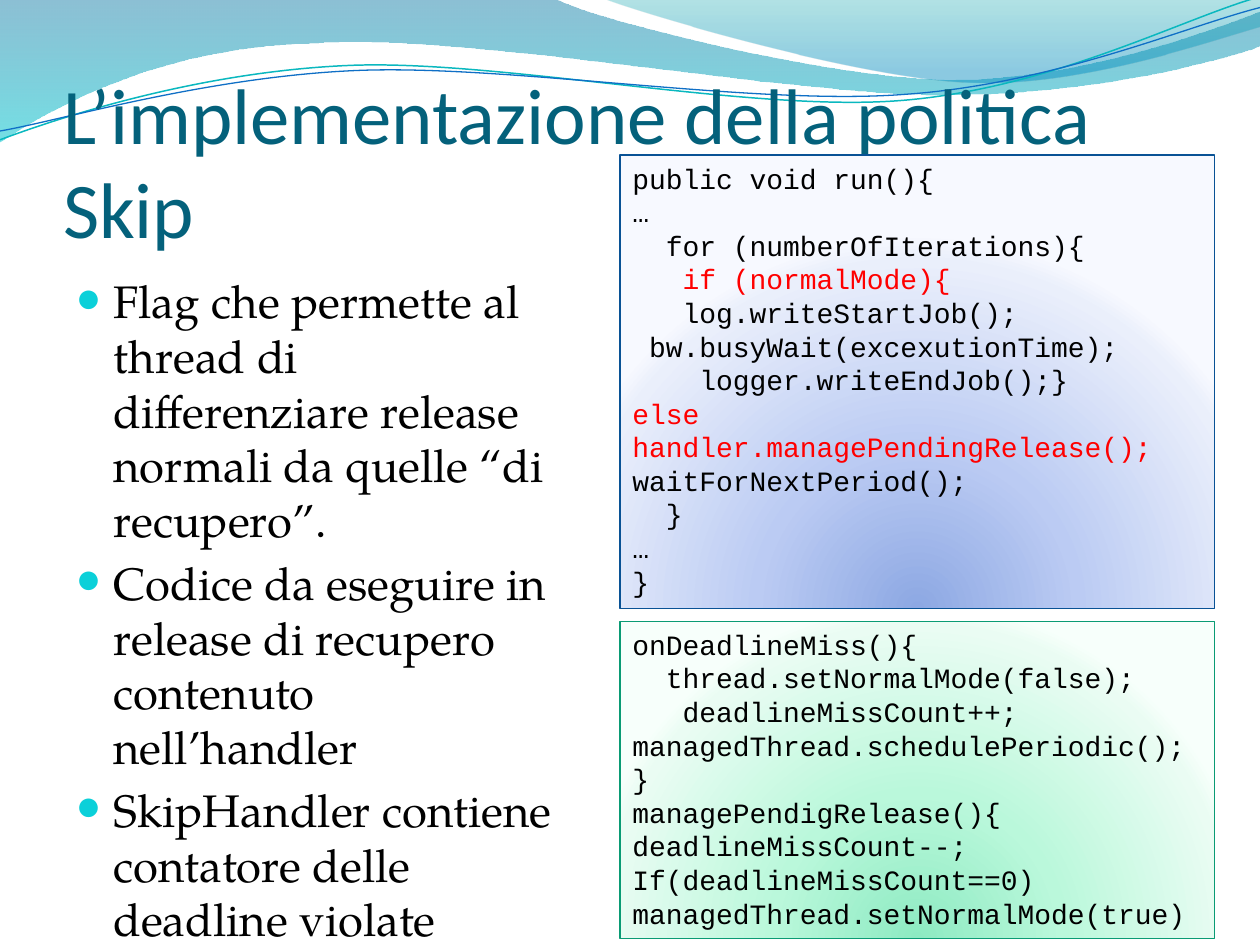
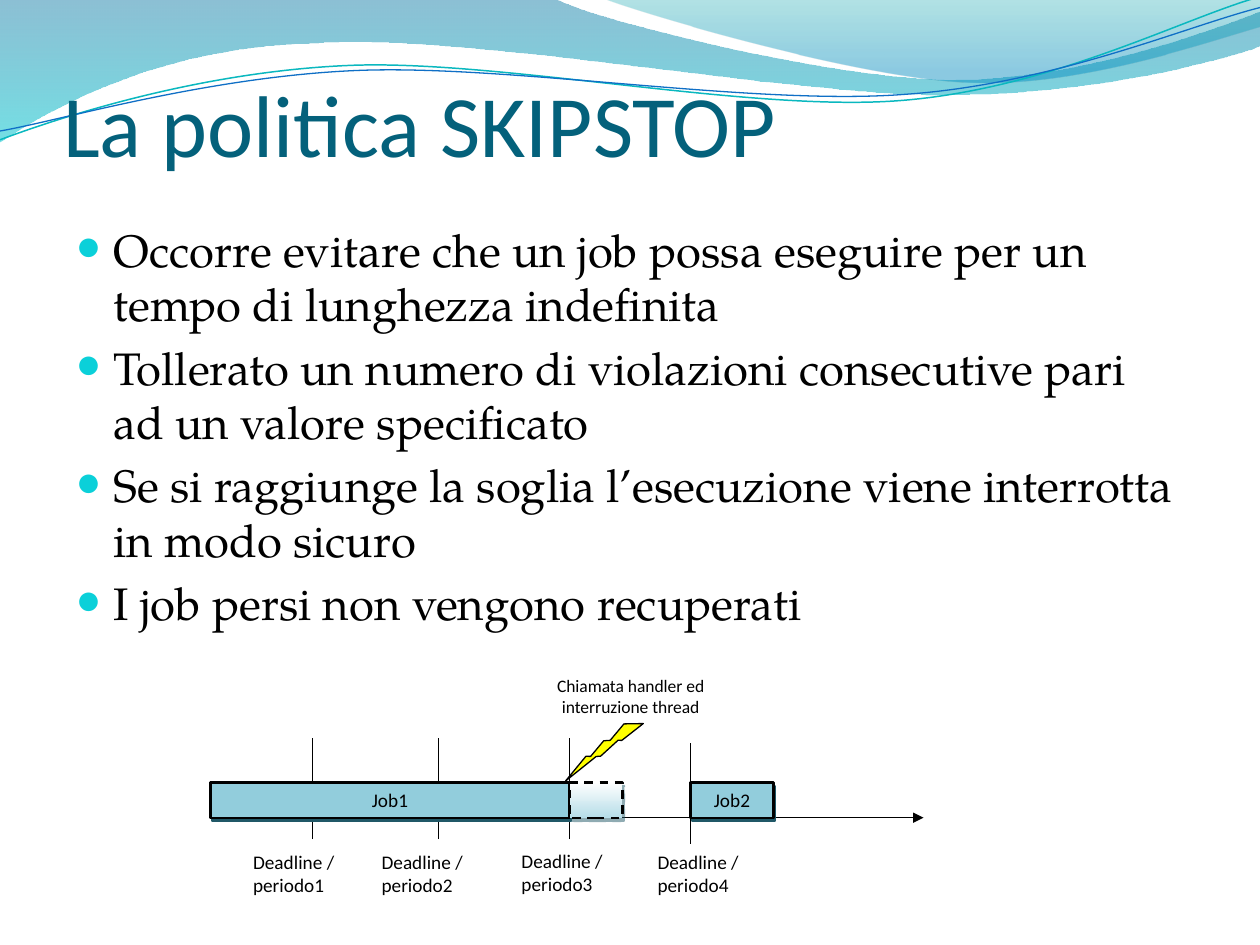
"""Build two slides on the Skip and SKIPSTOP policies."""
import pptx
import pptx.dml.color
import pptx.enum.dml
import pptx.enum.shapes
import pptx.enum.text
import pptx.oxml
import pptx.oxml.ns
import pptx.util

Inches = pptx.util.Inches
Pt = pptx.util.Pt
RGBColor = pptx.dml.color.RGBColor
Kind = pptx.enum.shapes.MSO_SHAPE
Align = pptx.enum.text.PP_ALIGN
Anchor = pptx.enum.text.MSO_ANCHOR
qn = pptx.oxml.ns.qn

BLACK = RGBColor(0x00, 0x00, 0x00)
WHITE = RGBColor(0xFF, 0xFF, 0xFF)
RED = RGBColor(0xFF, 0x00, 0x00)
YELLOW = RGBColor(0xFF, 0xFF, 0x00)
NAVY = RGBColor(0x04, 0x61, 0x7B)
CYAN = RGBColor(0x0B, 0xD0, 0xD9)
TEAL = RGBColor(0x0A, 0xB8, 0xBF)
BLUE = RGBColor(0x0F, 0x6F, 0xC6)
SKY = RGBColor(0x92, 0xCD, 0xDC)
ICE = RGBColor(0xB6, 0xDD, 0xE8)
SLATE = RGBColor(0x20, 0x58, 0x67)
OCEAN = RGBColor(0x00, 0x74, 0xA1)
AQUA = RGBColor(0x00, 0xC6, 0xCF)
LAGOON = RGBColor(0x00, 0xA1, 0xA9)
AZURE = RGBColor(0x00, 0x8B, 0xBF)
COBALT = RGBColor(0x09, 0x52, 0x95)
COBALT_GLOW = [(0, RGBColor(0x8D, 0xA8, 0xE3)), (43, RGBColor(0xBB, 0xCB, 0xF3)),
               (93, RGBColor(0xEA, 0xEF, 0xFB)), (100, RGBColor(0xF7, 0xF9, 0xFF))]
GREEN = RGBColor(0x0A, 0x9B, 0x74)
GREEN_GLOW = [(0, RGBColor(0x8D, 0xEA, 0xC2)), (43, RGBColor(0xBA, 0xF8, 0xDB)),
              (93, RGBColor(0xEA, 0xFC, 0xF3)), (100, RGBColor(0xF7, 0xFF, 0xFB))]

DOWN = '<a:lin ang="5400000" scaled="0"/>'
ROUND = ('<a:path path="circle"><a:fillToRect l="50000" t="130000" '
         'r="50000" b="-30000"/></a:path>')

BANDS = [
    ([[(0, 0)], [(4.4, -0.01)],
      [(4.76, 0.17), (6.64, 0.63), (7.58, 0.63)], [(8.53, 0.63), (9.58, 0.26), (10, 0.09)],
      [(10.01, 0.36)],
      [(9.83, 0.44), (8.7, 0.76), (7.46, 0.75)], [(6.22, 0.75), (3.82, 0.28), (2.57, 0.34)],
      [(1.29, 0.36), (0.46, 0.83), (-0.01, 1.13)]],
     [(0, OCEAN, 45), (100, AQUA, 55)]),
    ([[(4.79, -0.01)],
      [(5.09, 0.11), (6.82, 0.62), (7.69, 0.65)], [(8.56, 0.69), (9.61, 0.32), (10, 0.21)],
      [(10, 0)]],
     [(0, LAGOON, 30), (80, AZURE, 45)]),
]
WAVES = [
    ([[(0, 1.11)], [(0.48, 0.93), (1.58, 0.57), (2.77, 0.52)],
      [(3.95, 0.47), (5.93, 0.89), (7.13, 0.8)], [(8.33, 0.71), (9.38, 0.15), (9.98, -0.02)]],
     TEAL, 0.85),
    ([[(0, 1.04)], [(0.47, 0.96), (1.64, 0.61), (2.83, 0.56)],
      [(4.03, 0.51), (5.97, 0.84), (7.17, 0.75)], [(8.36, 0.67), (9.41, 0.21), (10, 0.06)]],
     BLUE, 0.75),
]


def make(tag, inner="", **attrs):
    text = "".join(f' {key}="{value}"' for key, value in attrs.items())
    space = pptx.oxml.ns.nsdecls("a")
    return pptx.oxml.parse_xml(f"<a:{tag} {space}{text}>{inner}</a:{tag}>")


class Deck:
    head = "Calibri"
    text = "TeX Gyre Pagella"
    code = "Courier New"

    def __init__(self):
        self.show = pptx.Presentation()
        self.show.slide_width = Inches(10)
        self.show.slide_height = Inches(7.5)
        self.slide = None

    def page(self, title, size, top, high):
        first = self.slide is None
        self.slide = self.show.slides.add_slide(self.show.slide_layouts[1])
        if first:
            self.waves()
        shape = self.slide.shapes.title
        self.place(shape, 0.5, top, 9, high)
        frame = self.frame(shape, Anchor.BOTTOM)
        frame.margin_left = frame.margin_right = frame.margin_bottom = 0
        para = frame.paragraphs[0]
        para.alignment = Align.LEFT
        self.run(para, title, size, self.head, NAVY)

    def waves(self):
        shapes = []
        for steps, stops in BANDS:
            shape = self.free(steps, True)
            self.fade(shape, stops, DOWN)
            shape.line.fill.background()
            shapes.append(shape)
        for steps, color, width in WAVES:
            shape = self.free(steps, False)
            shape.fill.background()
            self.edge(shape, color, width)
            shapes.append(shape)
        for i, shape in enumerate(shapes):
            shape.element.nvSpPr.cNvPr.id = 20 + i
            self.show.slide_master.shapes.element.append(shape.element)

    def free(self, steps, close):
        points = [(Inches(x), Inches(y)) for step in steps for x, y in step]
        form = self.slide.shapes.build_freeform(*points[0])
        form.add_line_segments(points[1:], close=close)
        shape = form.convert_to_shape()
        shape.shadow.inherit = False
        marks = iter(list(shape.element.iter(qn("a:lnTo"))))
        for step in steps[1:]:
            group = [next(marks) for _ in step]
            if len(group) == 3:
                curve = make("cubicBezTo")
                group[0].addprevious(curve)
                for mark in group:
                    curve.append(mark[0])
                    mark.getparent().remove(mark)
        return shape

    def place(self, shape, left, top, wide, high):
        shape.left, shape.top = Inches(left), Inches(top)
        shape.width, shape.height = Inches(wide), Inches(high)

    def frame(self, shape, anchor=Anchor.TOP):
        frame = shape.text_frame
        frame.word_wrap = True
        frame.auto_size = pptx.enum.text.MSO_AUTO_SIZE.NONE
        frame.vertical_anchor = anchor
        return frame

    def run(self, para, text, size, font, color=BLACK):
        run = para.add_run()
        run.text = text
        run.font.size = Pt(size)
        run.font.name = font
        run.font.color.rgb = color

    def paras(self, frame, items):
        for i, item in enumerate(items):
            yield (frame.add_paragraph() if i else frame.paragraphs[0]), item

    def list(self, items, top, wide, high):
        shape = self.slide.placeholders[1]
        self.place(shape, 0.5, top, wide, high)
        for para, item in self.paras(self.frame(shape), items):
            props = para._p.get_or_add_pPr()
            props.set("marL", str(Inches(0.3)))
            props.set("indent", str(Inches(-0.3)))
            props.append(make("buClr", f'<a:srgbClr val="{CYAN}"/>'))
            props.append(make("buSzPct", val=95000))
            props.append(make("buFont", typeface=self.code))
            props.append(make("buChar", char="●"))
            para.space_before = Pt(0 if item == items[0] else 5)
            self.run(para, item, 26, self.text)

    def fade(self, shape, stops, path):
        marks = "".join(
            f'<a:gs pos="{pos * 1000}"><a:srgbClr val="{color}">'
            f'<a:alpha val="{(alpha or [100])[0] * 1000}"/></a:srgbClr></a:gs>'
            for pos, color, *alpha in stops)
        shape.fill.background()
        props = shape.element.spPr
        fill = make("gradFill", f"<a:gsLst>{marks}</a:gsLst>{path}", rotWithShape=1)
        props.replace(props.find(qn("a:noFill")), fill)

    def edge(self, shape, color=BLACK, width=0.75):
        shape.line.color.rgb = color
        shape.line.width = Pt(width)

    def shade(self, shape, alpha):
        tint = f'<a:srgbClr val="{SLATE}"><a:alpha val="{alpha * 1000}"/></a:srgbClr>'
        glow = make("outerShdw", tint, dist=Pt(2.2), dir=63 * 60000,
                    algn="ctr", rotWithShape=0)
        shape.element.spPr.find(qn("a:effectLst")).append(glow)

    def box(self, left, top, wide, high, fill=WHITE, kind=Kind.RECTANGLE):
        spot = [Inches(value) for value in (left, top, wide, high)]
        shape = self.slide.shapes.add_shape(kind, *spot)
        shape.shadow.inherit = False
        shape.fill.solid()
        shape.fill.fore_color.rgb = fill
        shape.line.fill.background()
        return shape

    def label(self, shape, text, size=11, align=Align.CENTER):
        para = self.frame(shape).paragraphs[0]
        para.alignment = align
        self.run(para, text, size, self.head)

    def job(self, left, wide, name):
        shape = self.box(left, 6.21, wide, 0.28, SKY)
        self.edge(shape, width=1.25)
        self.shade(shape, 100)
        self.label(shape, name)

    def listing(self, lines, top, high, stops, color):
        shape = self.box(4.92, top, 4.72, high)
        self.fade(shape, stops, ROUND)
        self.edge(shape, color)
        for para, line in self.paras(self.frame(shape), lines):
            para.alignment = Align.LEFT
            text, ink = line if isinstance(line, tuple) else (line, BLACK)
            self.run(para, text, 16, self.code, ink)

    def line(self, *ends, arrow=False):
        kind = pptx.enum.shapes.MSO_CONNECTOR.STRAIGHT
        line = self.slide.shapes.add_connector(kind, *[Inches(end) for end in ends])
        self.edge(line)
        if arrow:
            line.line._get_or_add_ln().append(make("tailEnd", type="triangle"))
        line.element.spPr.append(make("effectLst"))


def skip(deck):
    deck.page("L’implementazione della politica Skip", 45, 0.77, 1.25)
    deck.list(["Flag che permette al thread di differenziare release normali "
               "da quelle “di recupero”.",
               "Codice da eseguire in release di recupero contenuto nell’handler",
               "SkipHandler contiene contatore delle deadline violate"], 2.12, 4.03, 4.8)
    deck.listing(["public void run(){", "…", "  for (numberOfIterations){",
                  ("   if (normalMode){", RED), "   log.writeStartJob();",
                  " bw.busyWait(excexutionTime);", "    logger.writeEndJob();}",
                  ("else handler.managePendingRelease();", RED),
                  "waitForNextPeriod();", "  }", "…", "}"],
                 1.23, 3.6, COBALT_GLOW, COBALT)
    deck.listing(["onDeadlineMiss(){", "  thread.setNormalMode(false);",
                  "   deadlineMissCount++; managedThread.schedulePeriodic();", "}",
                  "managePendigRelease(){", "deadlineMissCount--;",
                  "If(deadlineMissCount==0)", "managedThread.setNormalMode(true)"],
                 4.93, 2.52, GREEN_GLOW, GREEN)


def stop(deck):
    deck.page("La politica SKIPSTOP", 50, 0.36, 1.03)
    deck.list(["Occorre evitare che un job possa eseguire per un tempo di lunghezza indefinita",
               "Tollerato un numero di violazioni consecutive pari ad un valore specificato",
               "Se si raggiunge la soglia l’esecuzione viene interrotta in modo sicuro",
               "I job persi non vengono recuperati"], 1.71, 9, 5.43)
    deck.line(1.67, 6.49, 7.33, 6.49, arrow=True)
    for x, low in ((2.48, 6.66), (3.48, 6.66), (4.52, 6.66), (5.48, 6.7)):
        deck.line(x, low, x, low - 0.8)
    deck.job(1.67, 2.85, "Job1")
    deck.job(5.48, 0.66, "Job2")
    for i, left in enumerate((1.91, 2.93, 4.04, 5.12), 1):
        top = 6.69 if i == 3 else 6.7
        deck.label(deck.box(left, top, 1.02, 0.51), f"Deadline / periodo{i}", align=Align.LEFT)
    rest = deck.box(4.52, 6.21, 0.42, 0.28)
    deck.fade(rest, [(0, WHITE), (100, ICE)], DOWN)
    deck.edge(rest, width=1.25)
    rest.line.dash_style = pptx.enum.dml.MSO_LINE.DASH
    deck.shade(rest, 50)
    bolt = deck.box(4.69, 5.56, 0.18, 0.76, YELLOW, Kind.LIGHTNING_BOLT)
    deck.edge(bolt)
    bolt.rotation = 61.7
    deck.label(deck.box(4.19, 5.31, 1.63, 0.42), "Chiamata handler ed interruzione thread", 10)


def main():
    deck = Deck()
    skip(deck)
    stop(deck)
    deck.show.save("out.pptx")


if __name__ == "__main__":
    main()
